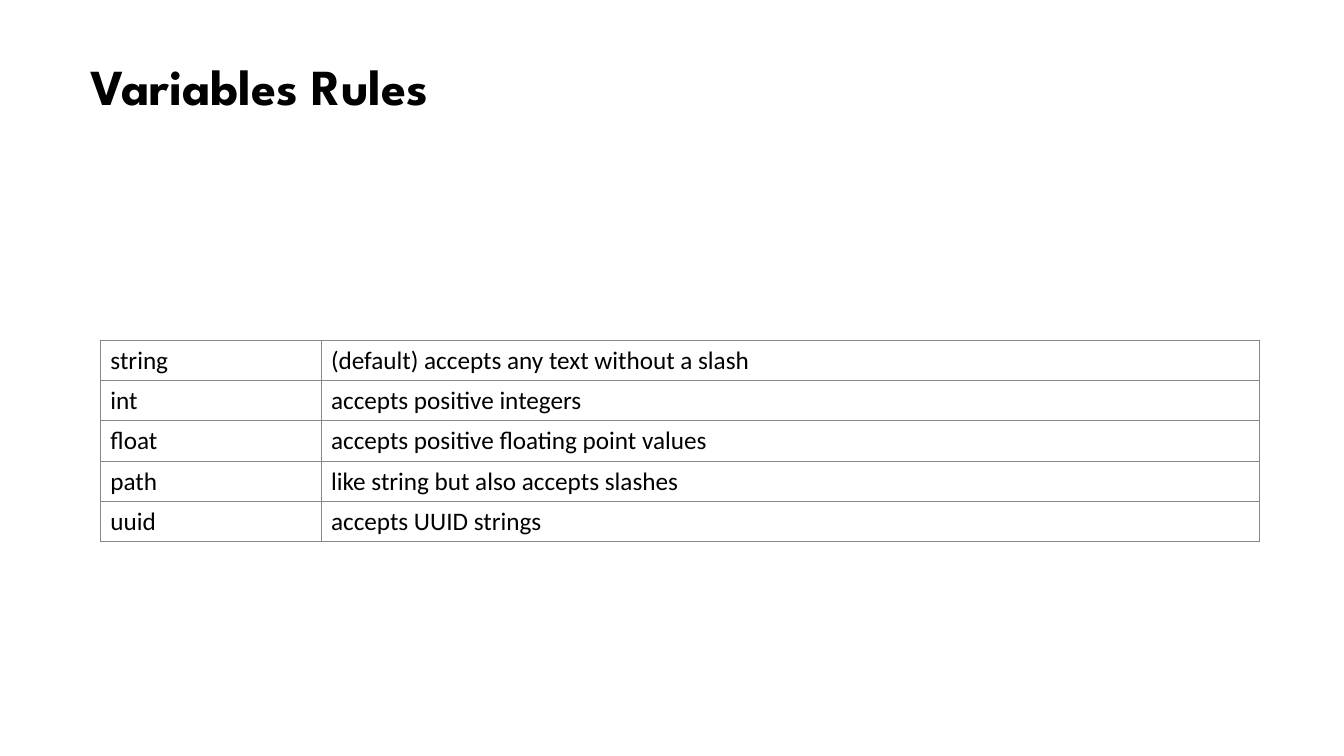
from lxml import etree
from pptx import Presentation
from pptx import util as u
from pptx.dml.color import RGBColor
from pptx.enum import text
from pptx.oxml import ns

BLACK = RGBColor(0x00, 0x00, 0x00)
GREY = RGBColor(0x88, 0x88, 0x88)

RULES = [
    ("string", "(default) accepts any text without a slash"),
    ("int", "accepts positive integers"),
    ("float", "accepts positive floating point values"),
    ("path", "like string but also accepts slashes"),
    ("uuid", "accepts UUID strings"),
]


def add_span(para, words, font_name, size, bold=False):
    span = para.add_run()
    span.text = words
    span.font.name = font_name
    span.font.size = u.Pt(size)
    span.font.bold = bold
    span.font.color.rgb = BLACK


def add_borders(cell, color, width):
    properties = cell._tc.get_or_add_tcPr()
    for position, side in enumerate(("a:lnL", "a:lnR", "a:lnT", "a:lnB")):
        line = etree.Element(ns.qn(side), w=str(u.Pt(width)))
        fill = etree.SubElement(line, ns.qn("a:solidFill"))
        etree.SubElement(fill, ns.qn("a:srgbClr"), val=str(color))
        # Border lines come before the cell fill
        properties.insert(position, line)


def add_title(page, left, top, width, height):
    box = page.shapes.add_textbox(left, top, width, height)
    frame = box.text_frame
    frame.word_wrap = True
    frame.auto_size = text.MSO_AUTO_SIZE.SHAPE_TO_FIT_TEXT
    add_span(frame.paragraphs[0], "Variables Rules", "League Spartan", 36, bold=True)


def add_rules_table(page, left, top, width, height):
    table = page.shapes.add_table(len(RULES), 2, left, top, width, height).table
    table.first_row = False
    table.horz_banding = False

    # Narrow type column, description takes the rest
    type_width = u.Cm(5.56)
    table.columns[0].width = type_width
    table.columns[1].width = width - type_width

    for row, rule in enumerate(RULES):
        for column, words in enumerate(rule):
            cell = table.cell(row, column)
            cell.fill.background()
            cell.vertical_anchor = text.MSO_ANCHOR.MIDDLE
            add_borders(cell, GREY, 0.75)
            add_span(cell.text_frame.paragraphs[0], words, "Calibri", 18)


def main():
    deck = Presentation()
    deck.slide_width = u.Cm(33.87)
    deck.slide_height = u.Cm(19.05)
    page = deck.slides.add_slide(deck.slide_layouts[6])

    add_title(page, u.Cm(2.03), u.Cm(1.27), u.Cm(11.3), u.Cm(1.8))
    add_rules_table(page, u.Cm(2.53), u.Cm(8.57), u.Cm(29.2), u.Cm(5.08))

    deck.save("out.pptx")


if __name__ == "__main__":
    main()
